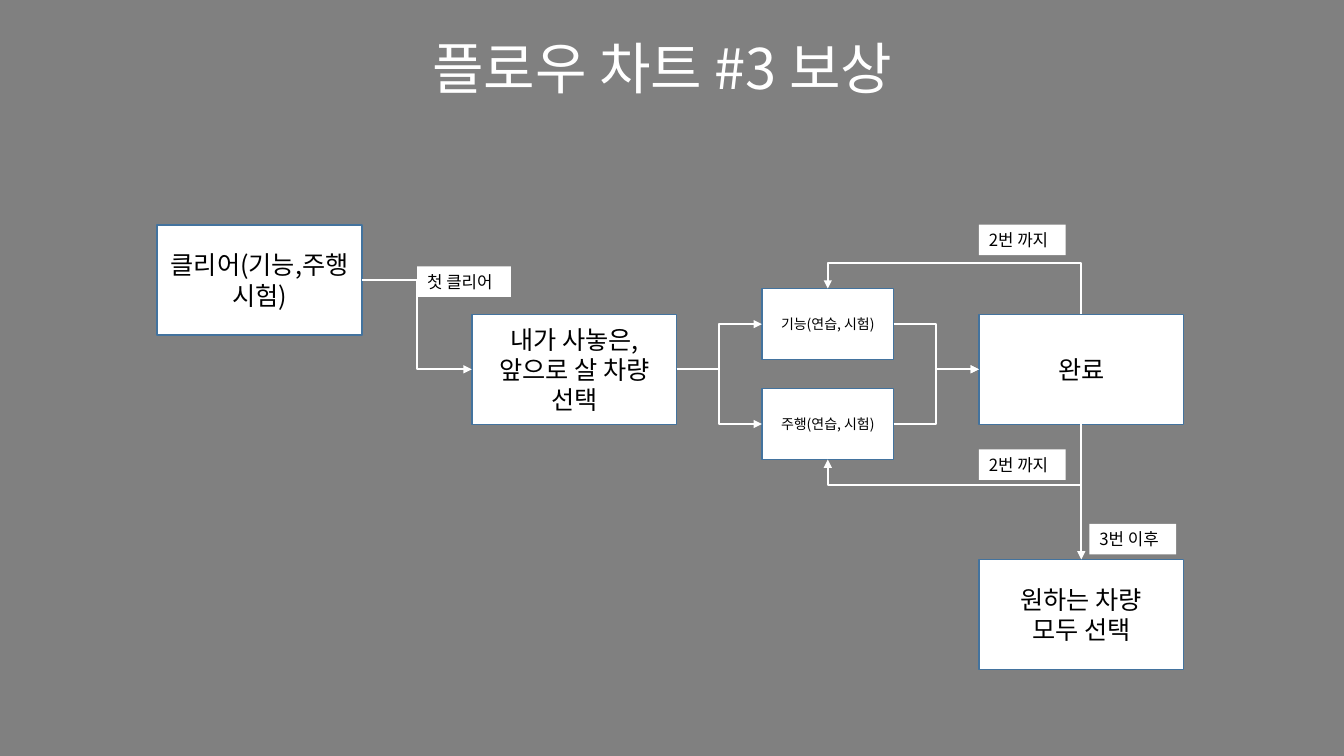
"""Builds the reward flow chart slide."""
import pptx
import pptx.util
import pptx.dml.color
import pptx.enum.shapes
import pptx.enum.text
import pptx.oxml.ns
import lxml.etree

Pt = pptx.util.Pt
RGB = pptx.dml.color.RGBColor.from_string
Anchor = pptx.enum.text.MSO_ANCHOR
Align = pptx.enum.text.PP_ALIGN
Connector = pptx.enum.shapes.MSO_CONNECTOR
Rectangle = pptx.enum.shapes.MSO_SHAPE.RECTANGLE
qn = pptx.oxml.ns.qn

FONT = "Noto Sans CJK KR"
COLORS = {"background": "808080", "white": "FFFFFF", "black": "000000", "border": "43739E"}
TOP, LEFT, BOTTOM, RIGHT = range(4)

deck = pptx.Presentation()
deck.slide_width, deck.slide_height = Pt(960), Pt(540)
page = deck.slides.add_slide(deck.slide_layouts[6])
page.background.fill.solid()
page.background.fill.fore_color.rgb = RGB(COLORS["background"])


def write(box, text, size, color, align=Align.LEFT, anchor=Anchor.TOP, wrap=True):
    frame = box.text_frame
    frame.text = text
    frame.word_wrap = wrap
    frame.vertical_anchor = anchor
    for para in frame.paragraphs:
        para.alignment = align
        para.font.name = FONT
        para.font.size = Pt(size)
        para.font.color.rgb = RGB(COLORS[color])
        properties = para._p.pPr.find(qn("a:defRPr"))
        lxml.etree.SubElement(properties, qn("a:ea"), typeface=FONT)


def style_arrow(arrow):
    arrow.line.color.rgb = RGB(COLORS["white"])
    arrow.line.width = Pt(1.5)
    line = arrow.line._get_or_add_ln()
    lxml.etree.SubElement(line, qn("a:tailEnd"), type="triangle")
    lxml.etree.SubElement(arrow._element.spPr, qn("a:effectLst"))


title = page.shapes.add_textbox(Pt(301.7), Pt(20.2), Pt(448.6), Pt(55.4))
write(title, "플로우 차트 #3 보상", 40, "white")

large, small = (146.4, 78.6, 18), (94.2, 50.6, 10)
steps = {
    "clear": (112.2, 160.6, large, "클리어(기능,주행 시험)"),
    "all_cars": (699.2, 399.6, large, "원하는 차량\n모두 선택"),
    "choose": (337, 224.5, large, "내가 사놓은,\n앞으로 살 차량\n선택"),
    "done": (699.2, 224.5, large, "완료"),
    "driving": (544.2, 277.6, small, "주행(연습, 시험)"),
    "skills": (544.2, 206.2, small, "기능(연습, 시험)"),
}
boxes = {}
for name, (left, top, (width, height, size), text) in steps.items():
    box = page.shapes.add_shape(Rectangle, Pt(left), Pt(top), Pt(width), Pt(height))
    box.shadow.inherit = False
    box.fill.solid()
    box.fill.fore_color.rgb = RGB(COLORS["white"])
    box.line.color.rgb = RGB(COLORS["border"])
    box.line.width = Pt(1)
    write(box, text, size, "black", Align.CENTER, Anchor.MIDDLE)
    boxes[name] = box

links = [
    ("clear", "choose", Connector.ELBOW, RIGHT, LEFT),
    ("choose", "skills", Connector.ELBOW, RIGHT, LEFT),
    ("choose", "driving", Connector.ELBOW, RIGHT, LEFT),
    ("skills", "done", Connector.ELBOW, RIGHT, LEFT),
    ("driving", "done", Connector.ELBOW, RIGHT, LEFT),
    ("done", "all_cars", Connector.STRAIGHT, BOTTOM, TOP),
]
for source, target, kind, source_side, target_side in links:
    arrow = page.shapes.add_connector(kind, 0, 0, 0, 0)
    arrow.begin_connect(boxes[source], source_side)
    arrow.end_connect(boxes[target], target_side)
    style_arrow(arrow)

start_x, end_x = 772.4, 591.3
span = start_x - end_x
loops = [(224.5, 206.2, 188, 270), (303.1, 328.2, 346.2, 90)]
for start_y, end_y, turn_y, rotation in loops:
    rise = abs(end_y - start_y)
    left = (start_x + end_x - rise) / 2
    top = (start_y + end_y - span) / 2
    first, last = (top + span, top) if rotation == 270 else (top, top + span)
    arrow = page.shapes.add_connector(
        Connector.ELBOW, Pt(left), Pt(first), Pt(left + rise), Pt(last))
    arrow.rotation = rotation
    bend = round((turn_y - start_y) / (end_y - start_y) * 100000)
    guides = arrow._element.spPr.find(qn("a:prstGeom")).get_or_add_avLst()
    lxml.etree.SubElement(guides, qn("a:gd"), name="adj1", fmla=f"val {bend}")
    style_arrow(arrow)

labels = [
    (298, 190.2, 67, "첫 클리어"),
    (778.2, 374.2, 62, "3번 이후"),
    (699.2, 160.4, 62, "2번 까지"),
    (699.2, 321, 62, "2번 까지"),
]
for left, top, width, text in labels:
    label = page.shapes.add_shape(Rectangle, Pt(left), Pt(top), Pt(width), Pt(21.8))
    label.shadow.inherit = False
    label.fill.solid()
    label.fill.fore_color.rgb = RGB(COLORS["white"])
    label.line.fill.background()
    write(label, text, 12, "black", wrap=False)

deck.save("out.pptx")
